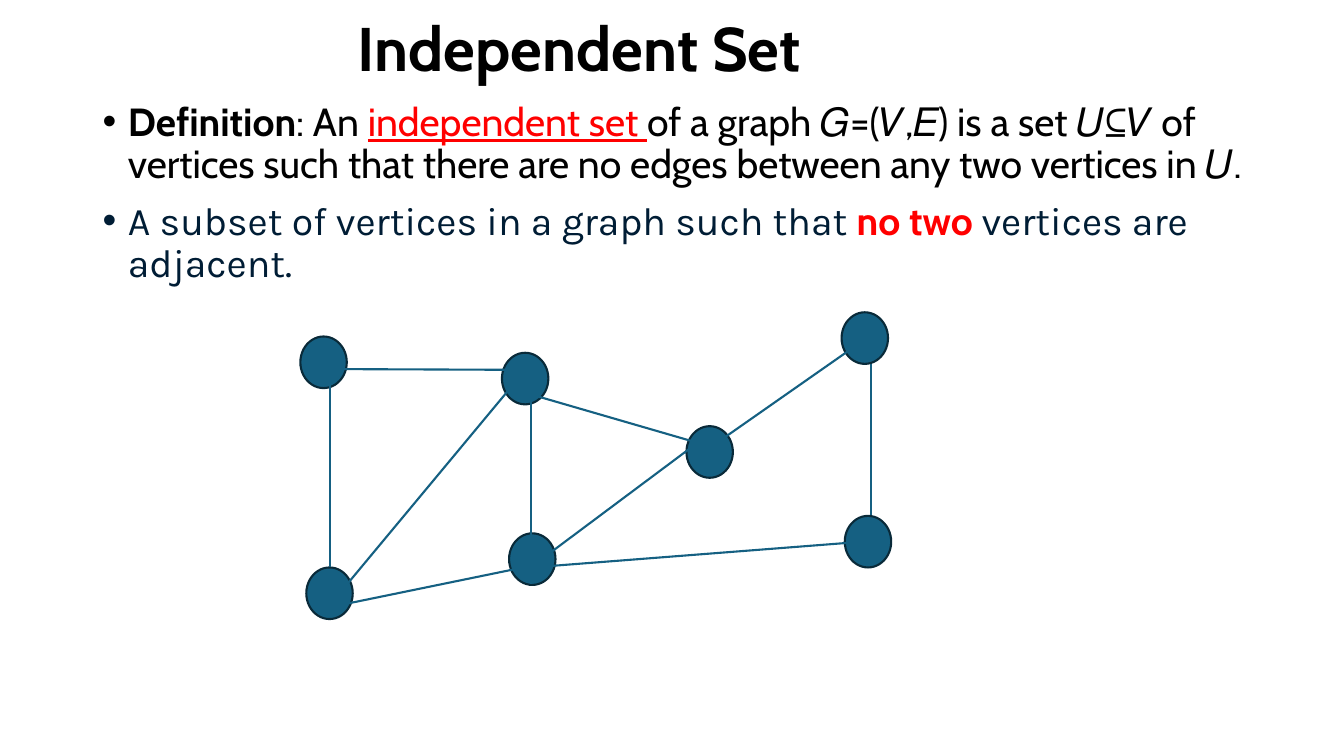
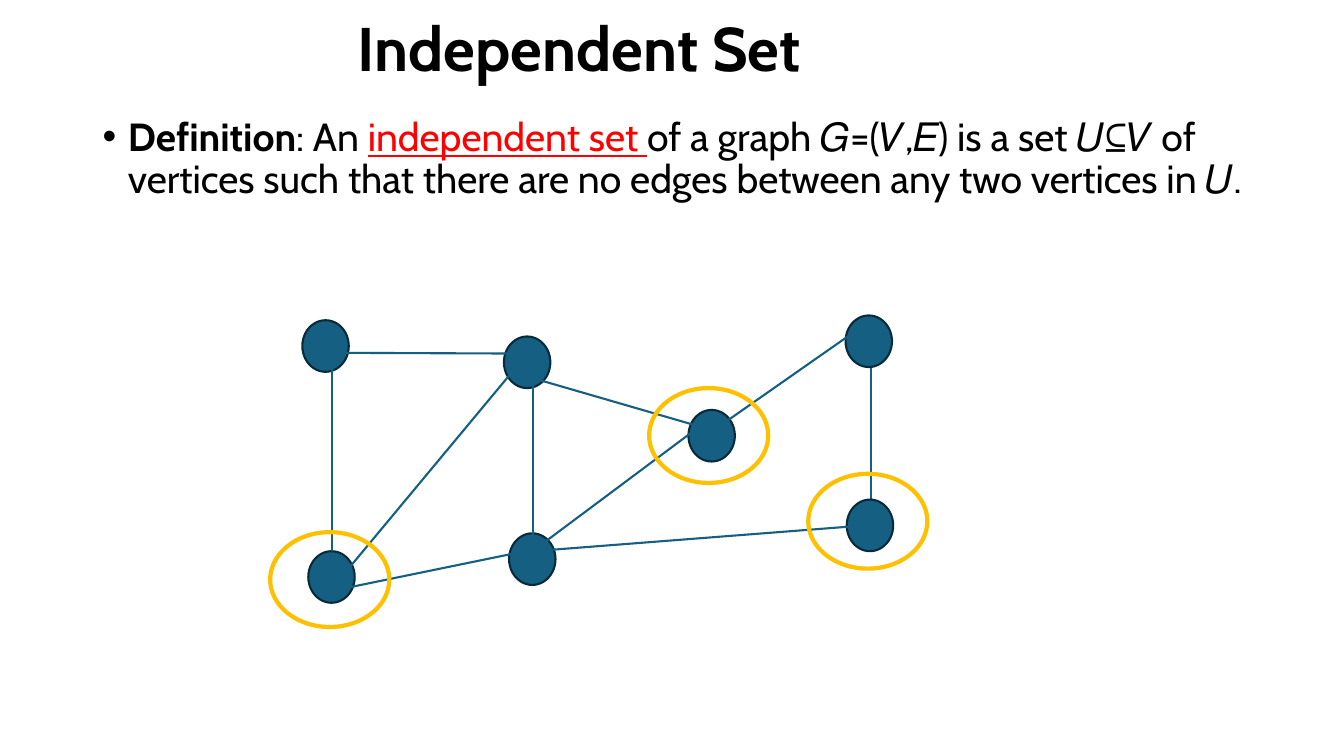
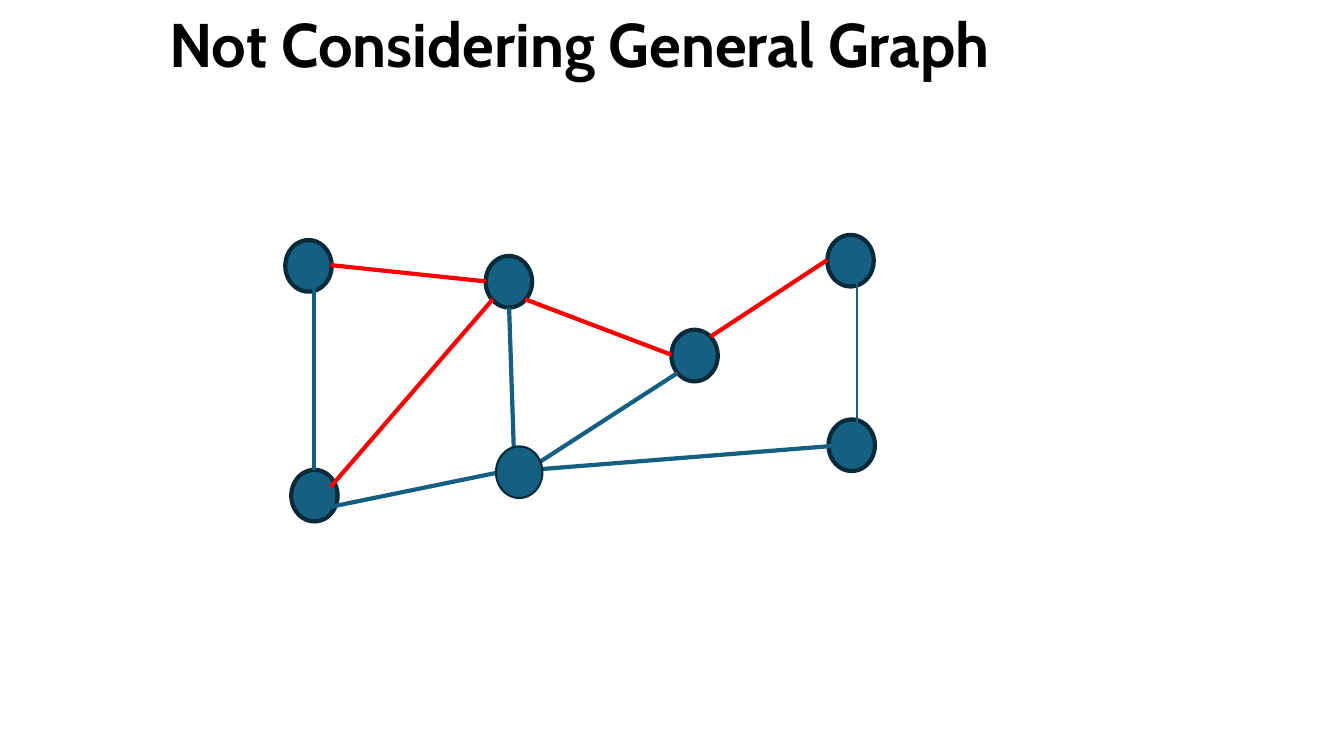
from dataclasses import dataclass, replace
from typing import Optional

from lxml import etree
from pptx import Presentation
from pptx.dml.color import RGBColor
from pptx.enum.shapes import MSO_CONNECTOR, MSO_SHAPE
from pptx.enum.text import MSO_ANCHOR, MSO_AUTO_SIZE, PP_ALIGN
from pptx.oxml.ns import qn
from pptx.util import Cm, Pt

COLORS = {
    "text": "000000",
    "navy": "001D35",
    "red": "FF0000",
    "node": "156082",
    "border": "092A39",
    "ring": "FFC000",
}
FONT, ALT_FONT = "Cabin", "Karla"
NODE_W, NODE_H = 1.17, 1.3
RING_W, RING_H = 3.0, 2.39
THIN, THICK = 1.5, 3


@dataclass(frozen=True)
class Node:
    x: float
    y: float


@dataclass(frozen=True)
class Edge:
    x1: float
    y1: float
    x2: float
    y2: float
    color: str = "node"


@dataclass(frozen=True)
class Graph:
    nodes: dict[str, Node]
    edges: list[Edge]


@dataclass(frozen=True)
class Run:
    text: str
    font: str = FONT
    color: str = "text"
    bold: bool = False
    underline: bool = False


# Text
DEFINITION = [
    Run("Definition", bold=True),
    Run(": An "),
    Run("independent set ", color="red", underline=True),
    Run("of a graph 𝐺=(𝑉,𝐸) is a set 𝑈⊆𝑉 of vertices such that "
        "there are no edges between any two vertices in 𝑈."),
]
SUBSET = [
    Run("A subset of vertices in a graph such that ", font=ALT_FONT, color="navy"),
    Run("no two ", color="red", bold=True),
    Run("vertices are adjacent.", font=ALT_FONT, color="navy"),
]

# Graph of the first two slides: the hub and the right edge stay in place
FIXED = Graph({"hub": Node(12.83, 13.44)}, [Edge(21.95, 8.33, 21.95, 13.31)])
MAIN = Graph(
    {
        "top_left": Node(7.57, 8.48),
        "top_mid": Node(12.65, 8.89),
        "center": Node(17.3, 10.74),
        "top_right": Node(21.21, 7.87),
        "low_left": Node(7.72, 14.3),
        "low_right": Node(21.29, 13.0),
    },
    [
        Edge(8.31, 9.3, 8.31, 14.3),
        Edge(13.18, 14.3, 8.36, 15.29),
        Edge(13.28, 9.91, 17.83, 11.23),
        Edge(8.36, 9.3, 13.23, 9.32),
        Edge(13.39, 9.7, 13.39, 14.71),
        Edge(12.9, 9.73, 8.74, 14.73),
        Edge(17.83, 10.97, 13.61, 14.12),
        Edge(21.87, 13.64, 13.77, 14.27),
        Edge(21.64, 8.66, 18.08, 11.15),
    ],
)
RINGS = [Node(6.81, 13.41), Node(20.37, 11.94), Node(16.36, 9.78)]

# Graph of the last slide
GENERAL = Graph(
    {
        "top_left": Node(7.19, 6.05),
        "top_mid": Node(12.24, 6.45),
        "center": Node(16.92, 8.31),
        "top_right": Node(20.85, 5.92),
        "low_left": Node(7.34, 11.84),
        "low_right": Node(20.88, 10.57),
    },
    [
        Edge(7.92, 6.86, 7.92, 11.84),
        Edge(12.78, 11.86, 7.95, 12.85),
        Edge(13.23, 7.54, 16.92, 8.94, "red"),
        Edge(8.33, 6.68, 12.24, 7.09, "red"),
        Edge(12.83, 7.75, 12.98, 12.27),
        Edge(12.42, 7.54, 8.33, 12.27, "red"),
        Edge(21.46, 11.2, 13.39, 11.84),
        Edge(20.85, 6.55, 17.91, 8.48, "red"),
        Edge(17.07, 9.4, 13.34, 11.81),
    ],
)
GENERAL_THIN = Graph({"hub": Node(12.5, 11.25)}, [Edge(21.59, 6.38, 21.59, 11.38)])


def rgb(name: str) -> RGBColor:
    return RGBColor.from_string(COLORS[name])


def add_run(p, text: str, *, size: float, font: str = FONT, color: str = "text",
            bold: bool = False, underline: bool = False) -> None:
    r = p.add_run()
    r.text = text
    r.font.name, r.font.size = font, Pt(size)
    r.font.bold, r.font.underline = bold, underline
    r.font.color.rgb = rgb(color)


def add_titled_slide(prs, title: str, top: float = 0.05):
    slide = prs.slides.add_slide(prs.slide_layouts[5])
    sp = slide.shapes.title
    sp.left, sp.top, sp.width, sp.height = Cm(0), Cm(top), Cm(29.21), Cm(2.49)
    tf = sp.text_frame
    tf.auto_size = MSO_AUTO_SIZE.NONE
    tf.word_wrap = True
    tf.vertical_anchor = MSO_ANCHOR.MIDDLE
    p = tf.paragraphs[0]
    p.alignment, p.line_spacing = PP_ALIGN.CENTER, 0.9
    add_run(p, title, size=44, bold=True)
    return slide


def add_bullets(slide, top: float, height: float, bullets: list[list[Run]]) -> None:
    sp = slide.shapes.add_textbox(Cm(2.34), Cm(top), Cm(29.21), Cm(height))
    tf = sp.text_frame
    tf.word_wrap = True
    for i, runs in enumerate(bullets):
        p = tf.add_paragraph() if i else tf.paragraphs[0]
        p.line_spacing = 0.9
        p.space_before = Pt(10 if i else 0)
        pPr = p._p.get_or_add_pPr()
        pPr.set("marL", str(Cm(0.635)))
        pPr.set("indent", str(-Cm(0.635)))
        etree.SubElement(pPr, qn("a:buFont")).set("typeface", "Arial")
        etree.SubElement(pPr, qn("a:buChar")).set("char", "•")
        for run in runs:
            add_run(p, run.text, size=28, font=run.font, color=run.color,
                    bold=run.bold, underline=run.underline)


def add_ellipse(slide, at: Node, w: float, h: float, line: str, width: float,
                fill: Optional[str] = None) -> None:
    sp = slide.shapes.add_shape(MSO_SHAPE.OVAL, Cm(at.x), Cm(at.y), Cm(w), Cm(h))
    sp.shadow.inherit = False
    if fill:
        sp.fill.solid()
        sp.fill.fore_color.rgb = rgb(fill)
    else:
        sp.fill.background()
    sp.line.color.rgb, sp.line.width = rgb(line), Pt(width)


def add_edge(slide, edge: Edge, width: float) -> None:
    line = slide.shapes.add_connector(
        MSO_CONNECTOR.STRAIGHT, Cm(edge.x1), Cm(edge.y1), Cm(edge.x2), Cm(edge.y2))
    line.line.color.rgb, line.line.width = rgb(edge.color), Pt(width)
    etree.SubElement(line._element.spPr, qn("a:effectLst"))


def add_graph(slide, graph: Graph, width: float = THIN) -> None:
    for node in graph.nodes.values():
        add_ellipse(slide, node, NODE_W, NODE_H, "border", width, fill="node")
    for edge in graph.edges:
        add_edge(slide, edge, width)


def shifted(graph: Graph, dx: float, dy: float) -> Graph:
    nodes = {name: Node(n.x + dx, n.y + dy) for name, n in graph.nodes.items()}
    edges = [replace(e, x1=e.x1 + dx, y1=e.y1 + dy, x2=e.x2 + dx, y2=e.y2 + dy)
             for e in graph.edges]
    return Graph(nodes, edges)


def main() -> None:
    prs = Presentation()
    prs.slide_width, prs.slide_height = Cm(33.87), Cm(19.05)

    # Definition
    slide = add_titled_slide(prs, "Independent Set")
    add_bullets(slide, 2.46, 15.42, [DEFINITION, SUBSET])
    add_graph(slide, FIXED)
    add_graph(slide, MAIN)

    # An independent set, ringed
    slide = add_titled_slide(prs, "Independent Set")
    add_bullets(slide, 2.84, 13.94, [DEFINITION])
    add_graph(slide, FIXED)
    raised = shifted(MAIN, 0.05, -0.41)
    raised.nodes["top_right"] = Node(21.31, 7.95)
    add_graph(slide, raised)
    for ring in RINGS:
        add_ellipse(slide, ring, RING_W, RING_H, "ring", THICK)

    # General graph
    slide = add_titled_slide(prs, "Not Considering General Graph", top=-0.05)
    add_graph(slide, GENERAL, THICK)
    add_graph(slide, GENERAL_THIN)

    prs.save("out.pptx")


if __name__ == "__main__":
    main()
